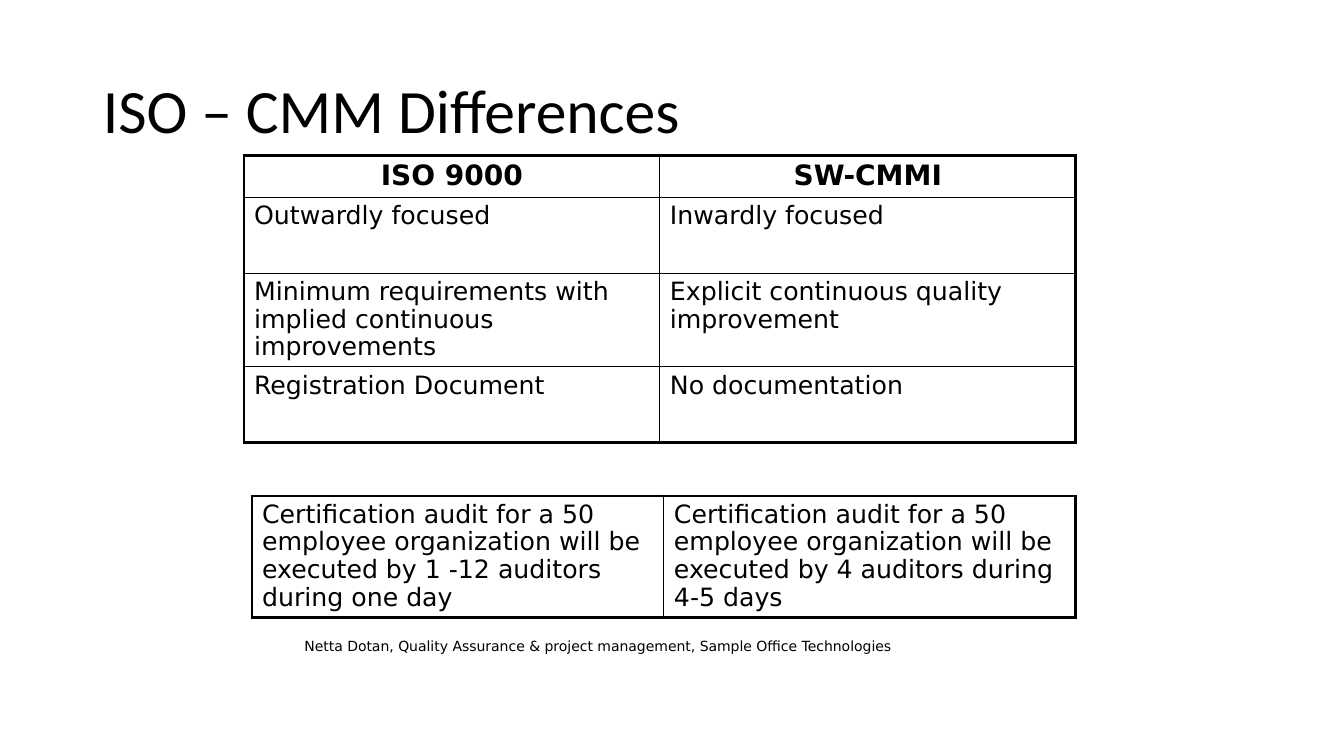
"""Build the ISO and CMM differences slide with two comparison tables."""
from lxml import etree
from pptx import Presentation
from pptx.dml.color import RGBColor
from pptx.enum.text import MSO_ANCHOR, MSO_AUTO_SIZE, PP_ALIGN
from pptx.oxml.ns import qn
from pptx.util import Inches, Pt

LEFT, CENTER = PP_ALIGN.LEFT, PP_ALIGN.CENTER
MIDDLE = MSO_ANCHOR.MIDDLE
NO_AUTOFIT = MSO_AUTO_SIZE.NONE
COLORS = {"ink": "000000"}
BODY_FONT = "DejaVu Sans"
OUTER_LINE, INNER_LINE = 2.25, 1

comparison_rows = [
    ("ISO 9000", "SW-CMMI"),
    ("Outwardly focused", "Inwardly focused"),
    ("Minimum requirements with implied continuous improvements",
     "Explicit continuous quality improvement"),
    ("Registration Document", "No documentation"),
]
audit_rows = [
    ("Certification audit for a 50 employee organization will be executed by 1 -12 auditors during one day",
     "Certification audit for a 50 employee organization will be executed by 4 auditors during 4-5 days"),
]
tables = [
    (2.42, 1.54, 8.25, [0.42, 0.75, 0.93, 0.75], comparison_rows, True),
    (2.5, 4.92, 8.17, [1.2], audit_rows, False),
]


def style_font(paragraph, name, size, bold=False):
    font = paragraph.font
    font.name, font.size, font.bold = name, Pt(size), bold
    font.color.rgb = RGBColor.from_string(COLORS["ink"])


def add_border(cell, side, width):
    line = etree.SubElement(cell._tc.get_or_add_tcPr(), qn(f"a:ln{side}"), w=str(Pt(width)))
    fill = etree.SubElement(line, qn("a:solidFill"))
    etree.SubElement(fill, qn("a:srgbClr"), val=COLORS["ink"])


presentation = Presentation()
presentation.slide_width = Inches(13.33)
presentation.slide_height = Inches(7.5)
slide = presentation.slides.add_slide(presentation.slide_layouts[5])

title = slide.shapes.title
title.left, title.top = Inches(0.92), Inches(0.4)
title.width, title.height = Inches(11.5), Inches(1.45)
title.text_frame.text = "ISO – CMM Differences"
title.text_frame.auto_size = NO_AUTOFIT
title.text_frame.vertical_anchor = MIDDLE
paragraph = title.text_frame.paragraphs[0]
paragraph.alignment = LEFT
paragraph.line_spacing = 0.9
style_font(paragraph, "Calibri", 44)

for left, top, width, heights, rows, has_header in tables:
    table = slide.shapes.add_table(
        len(rows), 2, Inches(left), Inches(top), Inches(width), Inches(sum(heights))).table
    table.first_row = has_header
    table.horz_banding = False
    for row_index, (height, texts) in enumerate(zip(heights, rows)):
        table.rows[row_index].height = Inches(height)
        is_header = has_header and row_index == 0
        for column_index, text in enumerate(texts):
            cell = table.cell(row_index, column_index)
            cell.text = text
            paragraph = cell.text_frame.paragraphs[0]
            paragraph.alignment = CENTER if is_header else LEFT
            paragraph.line_spacing = 0.95
            style_font(paragraph, BODY_FONT, 20 if is_header else 18, is_header)
            outer_sides = {
                "L": column_index == 0,
                "R": column_index == 1,
                "T": row_index == 0,
                "B": row_index == len(rows) - 1,
            }
            for side, is_outer in outer_sides.items():
                add_border(cell, side, OUTER_LINE if is_outer else INNER_LINE)
            cell.fill.background()

footer = slide.shapes.add_textbox(Inches(2.92), Inches(6.28), Inches(6.05), Inches(0.27))
footer.text_frame.word_wrap = False
footer.text_frame.text = "Netta Dotan, Quality Assurance & project management, Sample Office Technologies"
style_font(footer.text_frame.paragraphs[0], BODY_FONT, 10)

presentation.save("out.pptx")
